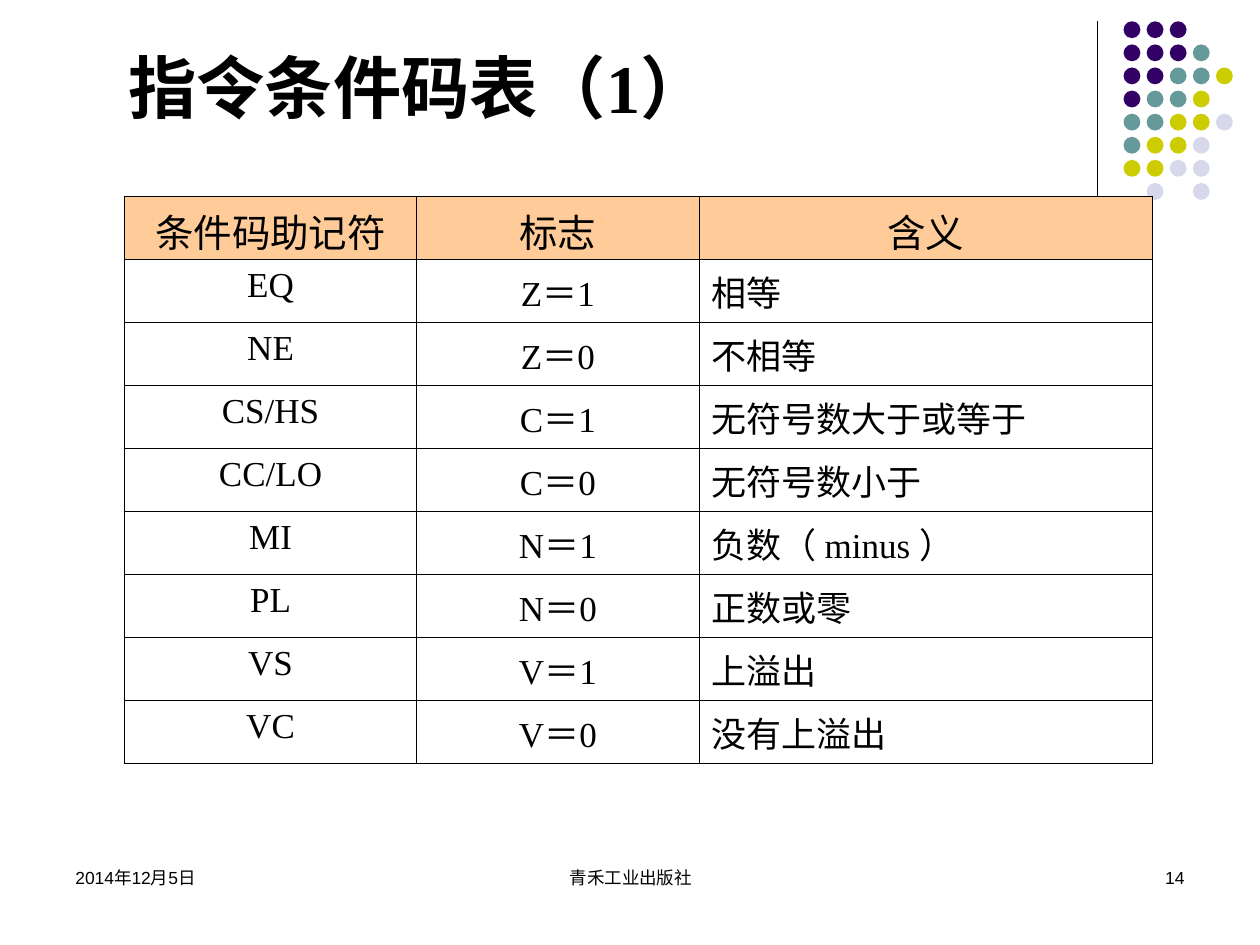
import pptx
import pptx.dml.color
import pptx.enum.shapes
import pptx.enum.text
import pptx.oxml
import pptx.oxml.ns
import pptx.util

Cm, Pt = pptx.util.Cm, pptx.util.Pt
ALIGN = pptx.enum.text.PP_ALIGN
ANCHOR = pptx.enum.text.MSO_ANCHOR
SERIF, SANS, CHINESE = "Times New Roman", "Arial", "Noto Sans CJK SC"
BLACK = "000000"

# Content
TITLE = "指令条件码表（1）"
HEADINGS = ["条件码助记符", "标志", "含义"]
CONDITIONS = [
    ("EQ", "Z＝1", ["相等"]),
    ("NE", "Z＝0", ["不相等"]),
    ("CS/HS", "C＝1", ["无符号数大于或等于"]),
    ("CC/LO", "C＝0", ["无符号数小于"]),
    ("MI", "N＝1", ["负数（ ", "minus ", "）"]),
    ("PL", "N＝0", ["正数或零"]),
    ("VS", "V＝1", ["上溢出"]),
    ("VC", "V＝0", ["没有上溢出"]),
]
FOOTERS = [  # text, left, width, alignment
    ("青禾工业出版社", 8.69, 8.05, ALIGN.CENTER),
    ("14", 18.21, 5.92, ALIGN.RIGHT),
    ("2014年12月5日", 1.27, 5.92, ALIGN.LEFT),
]
DOT_COLOURS = {"P": "330066", "T": "669999", "Y": "CCCC00", "L": "D8D8EC"}
DOT_ROWS = ["PPP", "PPPT", "PPTTY", "PTTY", "TTYYL", "TYYL", "YYLL", " L L"]

COLUMN_WIDTHS = [5.89, 5.69, 9.14]
ROW_HEIGHT = 1.27
THIN, THICK = 0.45, 1.08


def colour(value):
    return pptx.dml.color.RGBColor.from_string(value)


def format_span(span, size, font, bold=False):
    span.font.size = Pt(size)
    span.font.name = font
    span.font.bold = bold
    span.font.color.rgb = colour(BLACK)
    east_asian = pptx.oxml.parse_xml(
        f'<a:ea {pptx.oxml.ns.nsdecls("a")} typeface="{CHINESE}"/>')
    span.font._element.find(pptx.oxml.ns.qn("a:latin")).addnext(east_asian)


def add_text(page, text, left, top, width, height, size, font,
             align=ALIGN.LEFT, anchor=ANCHOR.TOP, bold=False):
    box = page.shapes.add_textbox(Cm(left), Cm(top), Cm(width), Cm(height))
    frame = box.text_frame
    frame.word_wrap = True
    frame.vertical_anchor = anchor
    frame.text = text
    para = frame.paragraphs[0]
    para.alignment = align
    format_span(para.runs[0], size, font, bold)


def set_borders(cell, widths):
    properties = cell._tc.get_or_add_tcPr()
    for side, width in zip("LRTB", widths):
        properties.append(pptx.oxml.parse_xml(
            f'<a:ln{side} {pptx.oxml.ns.nsdecls("a")} w="{Pt(width)}">'
            f'<a:solidFill><a:srgbClr val="{BLACK}"/></a:solidFill></a:ln{side}>'))


def add_dots(page):
    left, top, size, pitch = 22.65, 0.43, 0.34, 3.26 / 7
    for row, codes in enumerate(DOT_ROWS):
        for column, code in enumerate(codes):
            if code not in DOT_COLOURS:
                continue
            dot = page.shapes.add_shape(
                pptx.enum.shapes.MSO_SHAPE.OVAL,
                Cm(left + column * pitch), Cm(top + row * pitch), Cm(size), Cm(size))
            dot.shadow.inherit = False
            dot.fill.solid()
            dot.fill.fore_color.rgb = colour(DOT_COLOURS[code])
            dot.line.fill.background()


def add_condition_table(page):
    rows = [[[heading] for heading in HEADINGS]]
    rows += [[[code], [flag], meaning] for code, flag, meaning in CONDITIONS]
    last_row, last_column = len(rows) - 1, len(HEADINGS) - 1
    table = page.shapes.add_table(
        len(rows), len(HEADINGS), Cm(2.51), Cm(3.96),
        Cm(sum(COLUMN_WIDTHS)), Cm(ROW_HEIGHT * len(rows))).table
    table.first_row = table.horz_banding = False
    for column, width in zip(table.columns, COLUMN_WIDTHS):
        column.width = Cm(width)

    for r, row in enumerate(rows):
        for c, pieces in enumerate(row):
            cell = table.cell(r, c)
            is_meaning = r > 0 and c == last_column
            # Thick lines only around the outside
            outer = (c == 0, c == last_column, r == 0, r == last_row)
            set_borders(cell, [THICK if edge else THIN for edge in outer])
            if r == 0:
                cell.fill.solid()
                cell.fill.fore_color.rgb = colour("FFCC99")
            else:
                cell.fill.background()
            para = cell.text_frame.paragraphs[0]
            para.alignment = ALIGN.JUSTIFY if is_meaning else ALIGN.CENTER
            for piece in pieces:
                span = para.add_run()
                span.text = piece
                font = CHINESE if is_meaning and not piece.isascii() else SERIF
                format_span(span, 20 if r else 22, font)


def main():
    deck = pptx.Presentation()
    deck.slide_width, deck.slide_height = Cm(25.4), Cm(19.05)
    page = deck.slides.add_slide(deck.slide_layouts[6])

    # Corner decoration
    rule = page.shapes.add_connector(
        pptx.enum.shapes.MSO_CONNECTOR.STRAIGHT, Cm(22.12), Cm(0.43), Cm(22.12), Cm(4.65))
    rule.line.color.rgb = colour(BLACK)
    rule.line.width = Pt(0.75)
    rule._element.spPr.append(pptx.oxml.parse_xml(
        f'<a:effectLst {pptx.oxml.ns.nsdecls("a")}/>'))
    add_dots(page)

    # Title, table and footers
    add_text(page, TITLE, 2.34, 0.58, 16.33, 2.11, 39, SERIF,
             anchor=ANCHOR.BOTTOM, bold=True)
    add_condition_table(page)
    for text, left, width, align in FOOTERS:
        add_text(page, text, left, 17.35, width, 1.27, 10, SANS, align)

    deck.save("out.pptx")


if __name__ == "__main__":
    main()
